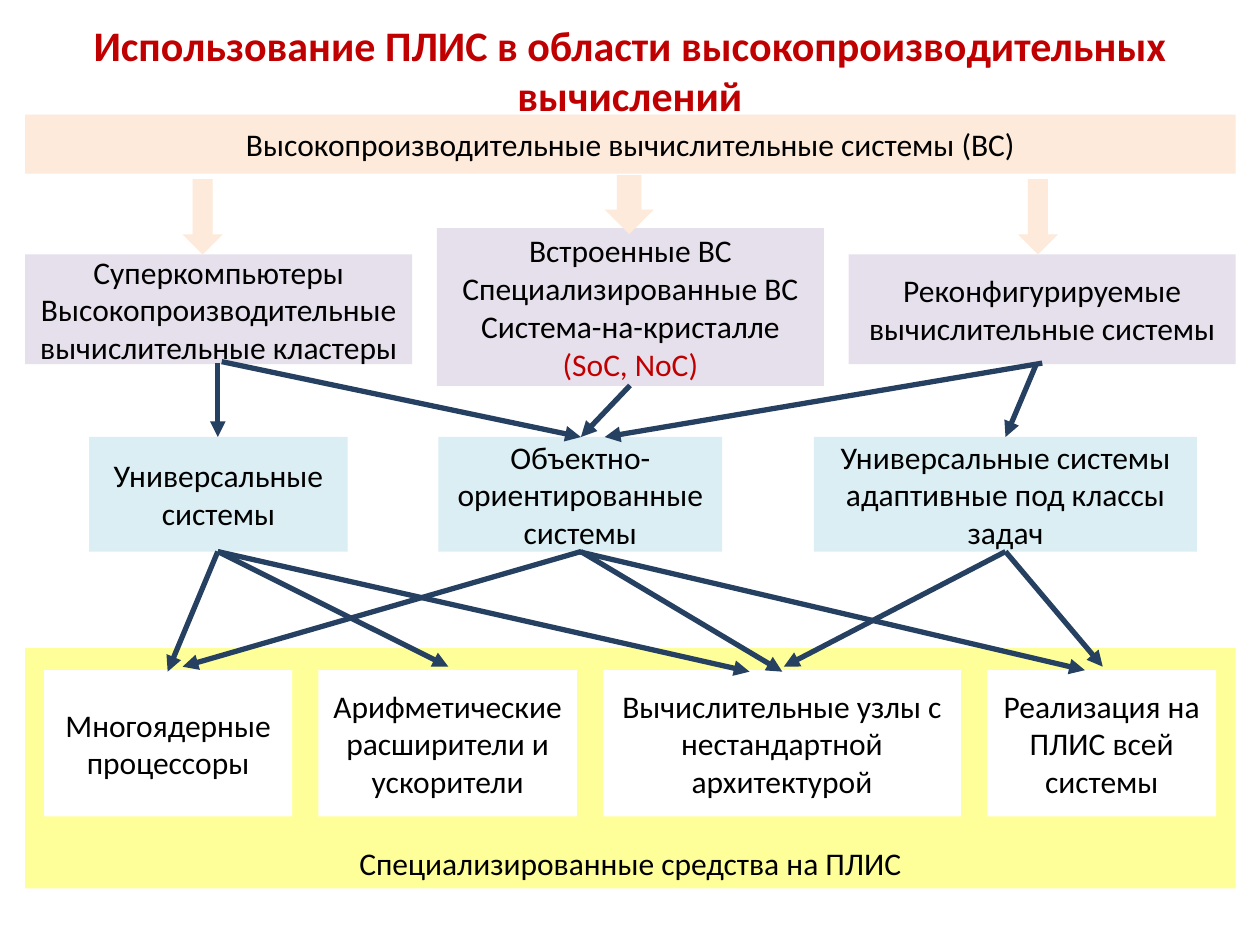
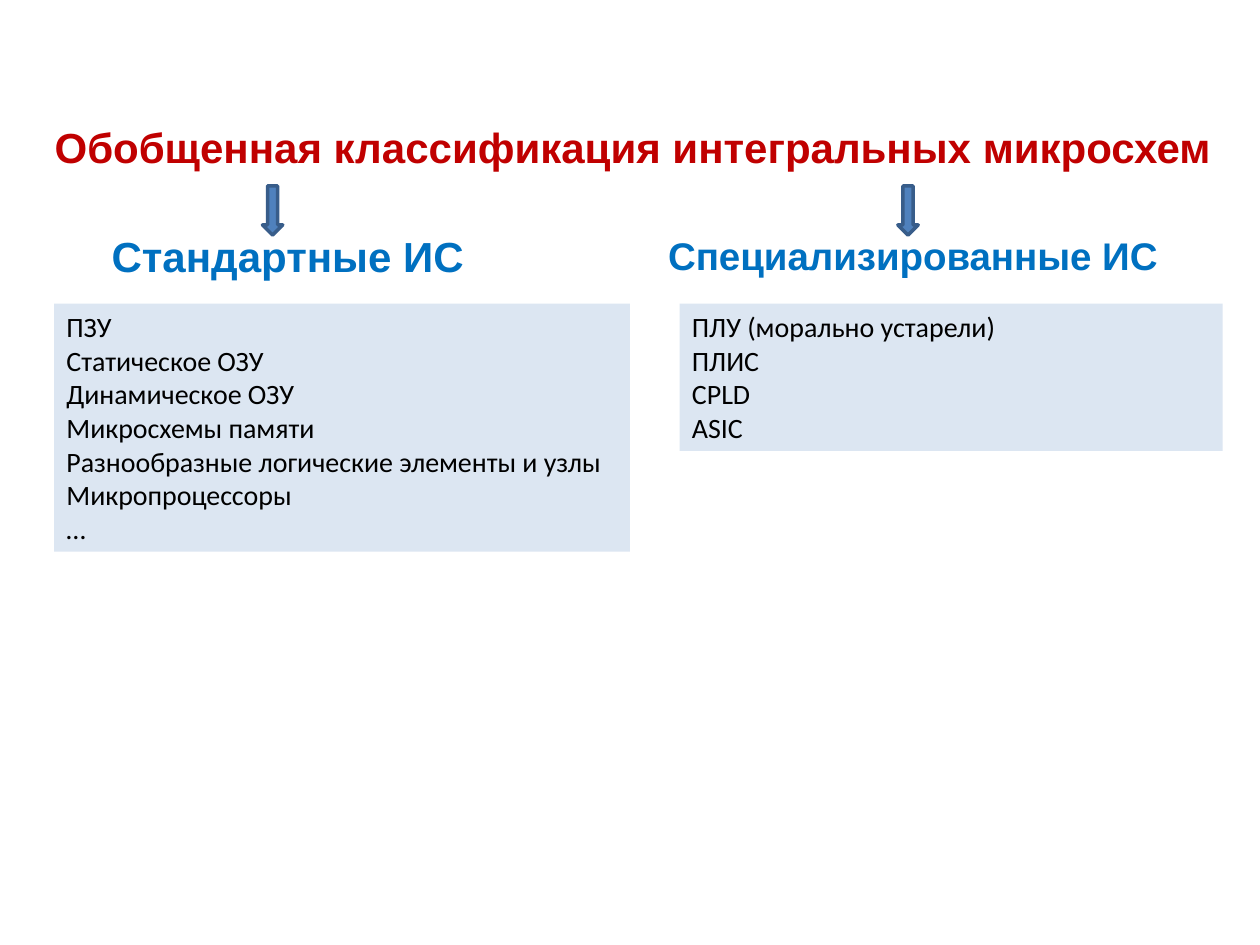
from lxml.etree import SubElement
from pptx import Presentation
from pptx.dml.color import RGBColor
from pptx.enum.shapes import MSO_CONNECTOR, MSO_SHAPE
from pptx.enum.text import MSO_ANCHOR, MSO_AUTO_SIZE, PP_ALIGN
from pptx.oxml.ns import qn
from pptx.util import Cm, Pt

COLORS = {
    "title": "C00000", "heading": "0070C0", "text": "000000",
    "band": "FDEADA", "systems": "E6E0EC", "classes": "DBEEF4",
    "panel": "FFFF99", "tools": "FFFFFF", "list": "DCE6F2",
    "link": "254061", "arrow": "4F81BD", "arrow_edge": "385D8A",
}
MARGIN, FULL_WIDTH = 0.51, 24.4


def add_block(slide, box, fill, preset=MSO_SHAPE.RECTANGLE):
    shape = slide.shapes.add_shape(preset, *map(Cm, box))
    shape.shadow.inherit = False
    shape.fill.solid()
    shape.fill.fore_color.rgb = RGBColor.from_string(COLORS[fill])
    shape.line.fill.background()
    return shape


def write(shape, lines, size=18, color="text", font="Calibri", bold=False,
          align=PP_ALIGN.CENTER, anchor=MSO_ANCHOR.MIDDLE, spacing=None):
    frame = shape.text_frame
    frame.word_wrap = True
    frame.vertical_anchor = anchor
    frame.text = "\n".join(lines)
    for paragraph in frame.paragraphs:
        paragraph.alignment = align
        paragraph.line_spacing = spacing
        paragraph.font.name = font
        paragraph.font.size = Pt(size)
        paragraph.font.bold = bold
        paragraph.font.color.rgb = RGBColor.from_string(COLORS[color])


presentation = Presentation()
presentation.slide_width, presentation.slide_height = Cm(25.4), Cm(19.05)
blank = presentation.slide_layouts[6]

# Slide 1: FPGAs in high-performance computing
slide = presentation.slides.add_slide(blank)

# Bottom panel, title and top band
panel = add_block(slide, (MARGIN, 13.06, FULL_WIDTH, 4.85), "panel")
write(panel, ["Специализированные средства на ПЛИС"], anchor=MSO_ANCHOR.BOTTOM)
title = slide.shapes.add_textbox(Cm(1.27), Cm(0.53), Cm(22.86), Cm(1.75))
write(title, ["Использование ПЛИС в области высокопроизводительных вычислений"],
      size=24, color="title", bold=True)
band = add_block(slide, (MARGIN, 2.31, FULL_WIDTH, 1.19), "band")
write(band, ["Высокопроизводительные вычислительные системы (ВС)"])

# Kinds of systems: three equal columns
systems = [
    (5.13, 2.21, ["Суперкомпьютеры", "Высокопроизводительные вычислительные кластеры"]),
    (4.6, 3.18, ["Встроенные ВС", "Специализированные ВС", "Система-на-кристалле "]),
    (5.13, 2.21, ["Реконфигурируемые вычислительные системы"]),
]
for column, (top, height, lines) in enumerate(systems):
    block = add_block(slide, (MARGIN + column * 8.3, top, 7.8, height), "systems")
    write(block, lines)
    if column == 1:
        chip_run = block.text_frame.paragraphs[-1].add_run()
        chip_run.text = "(SoC, NoC)"
        chip_run.font.color.rgb = RGBColor.from_string(COLORS["title"])

# Classes of systems
for left, width, text in [
    (1.8, 5.21, "Универсальные системы"),
    (8.84, 5.72, "Объектно-ориентированные системы"),
    (16.41, 7.72, "Универсальные системы адаптивные под классы задач"),
]:
    write(add_block(slide, (left, 8.81, width, 2.31), "classes"), [text])

# FPGA tools: a row with equal gaps
left = 0.89
for width, text in [
    (5.0, "Многоядерные процессоры"),
    (5.21, "Арифметические расширители и ускорители"),
    (7.21, "Вычислительные узлы с нестандартной архитектурой"),
    (4.62, "Реализация на ПЛИС всей системы"),
]:
    write(add_block(slide, (left, 13.51, width, 2.95), "tools"), [text])
    left += width + 0.53

# Block arrows below the band
for box in [(3.68, 3.61, 0.81, 1.52), (12.19, 3.53, 0.99, 1.19), (20.52, 3.61, 0.81, 1.52)]:
    add_block(slide, box, "band", MSO_SHAPE.DOWN_ARROW)

# Links between levels: start x, start y, end x, end y
links = [
    (4.39, 7.32, 4.39, 8.81), (12.7, 7.77, 11.71, 8.81), (20.9, 7.32, 20.27, 8.81),
    (4.47, 7.29, 11.71, 8.81), (21.01, 7.32, 12.19, 8.81),
]
classes_bottom = 11.12
links += [(start, classes_bottom, end, end_top) for start, end, end_top in [
    (4.39, 3.38, 13.54), (11.71, 3.68, 13.44), (4.39, 9.04, 13.44), (11.71, 15.77, 13.54),
    (20.27, 15.8, 13.44), (20.27, 22.23, 13.44), (4.39, 15.11, 13.54), (11.66, 21.87, 13.51),
]]
for link in links:
    connector = slide.shapes.add_connector(MSO_CONNECTOR.STRAIGHT, *map(Cm, link))
    connector.line.width = Pt(3)
    connector.line.color.rgb = RGBColor.from_string(COLORS["link"])
    SubElement(connector.line._get_or_add_ln(), qn("a:tailEnd"), type="triangle")
    SubElement(connector._element.spPr, qn("a:effectLst"))

# Slide 2: classification of integrated circuits
slide = presentation.slides.add_slide(blank)

# Title and the two headings
for box, text, size, color, spacing in [
    ((0.69, 2.13, 24.13, 1.8), "Обобщенная классификация интегральных микросхем", 24, "title", 0.9),
    ((1.7, 4.32, 8.2, 1.8), "Стандартные ИС", 24, "heading", 0.9),
    ((13.11, 4.32, 10.59, 1.8), "Специализированные ИС", 22, "heading", 0.8),
]:
    heading = slide.shapes.add_textbox(*map(Cm, box))
    write(heading, [text], size, color, "Arial", bold=True, spacing=spacing)

# Arrows from the title to the headings
for left in (5.0, 17.81):
    arrow = add_block(slide, (left, 4.04, 0.99, 0.41), "arrow", MSO_SHAPE.RIGHT_ARROW)
    arrow.rotation = 90
    arrow.line.width = Pt(2)
    arrow.line.color.rgb = RGBColor.from_string(COLORS["arrow_edge"])

# Lists of circuits
for left, width, height, lines in [
    (1.09, 11.61, 5.0, ["ПЗУ", "Статическое ОЗУ", "Динамическое ОЗУ", "Микросхемы памяти",
                        "Разнообразные логические элементы и узлы", "Микропроцессоры", "…"]),
    (13.7, 10.95, 2.97, ["ПЛУ (морально устарели)", "ПЛИС", "СPLD", "ASIC"]),
]:
    block = add_block(slide, (left, 6.12, width, height), "list")
    write(block, lines, size=16, align=PP_ALIGN.LEFT, anchor=MSO_ANCHOR.TOP)
    block.text_frame.auto_size = MSO_AUTO_SIZE.SHAPE_TO_FIT_TEXT

presentation.save("out.pptx")
